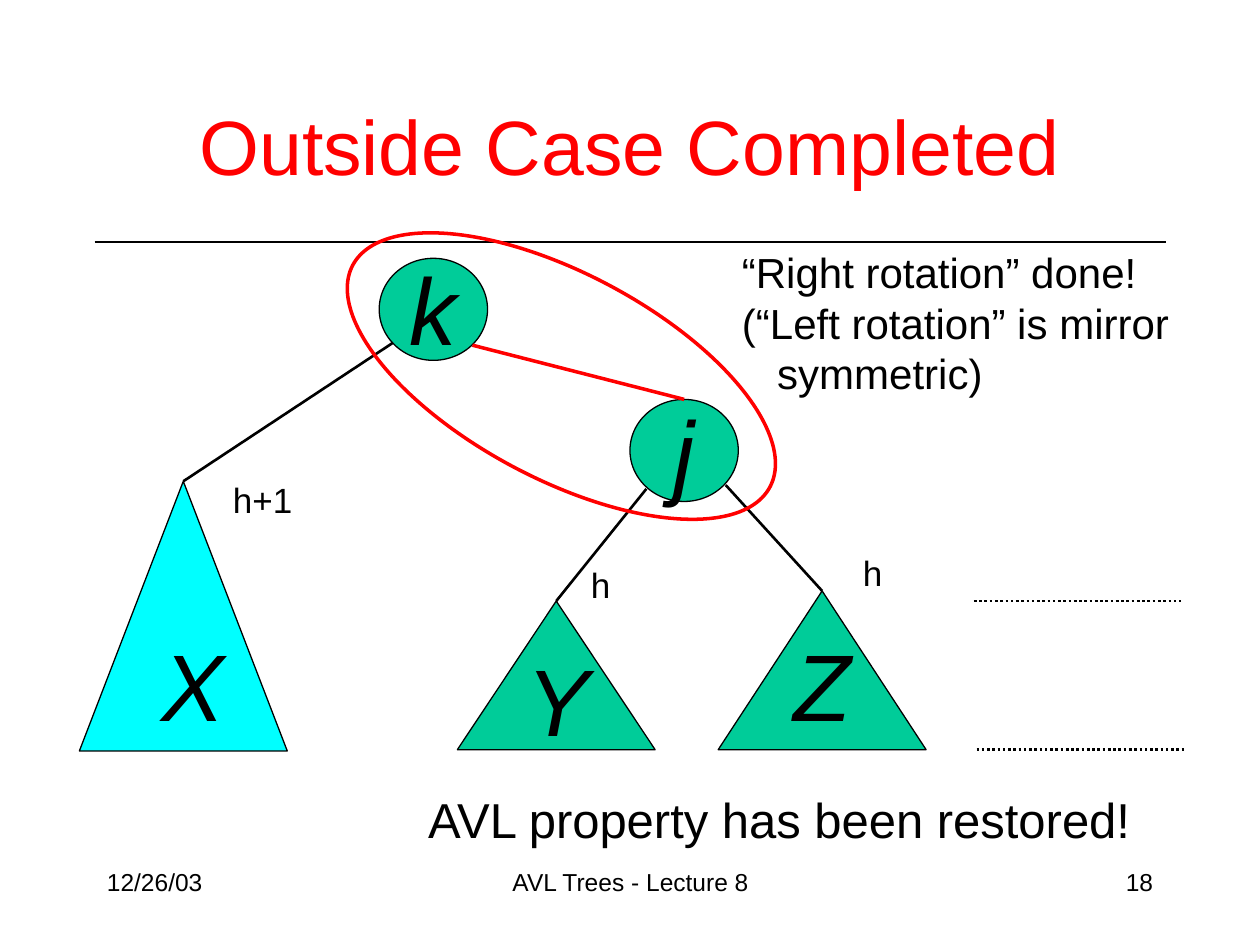
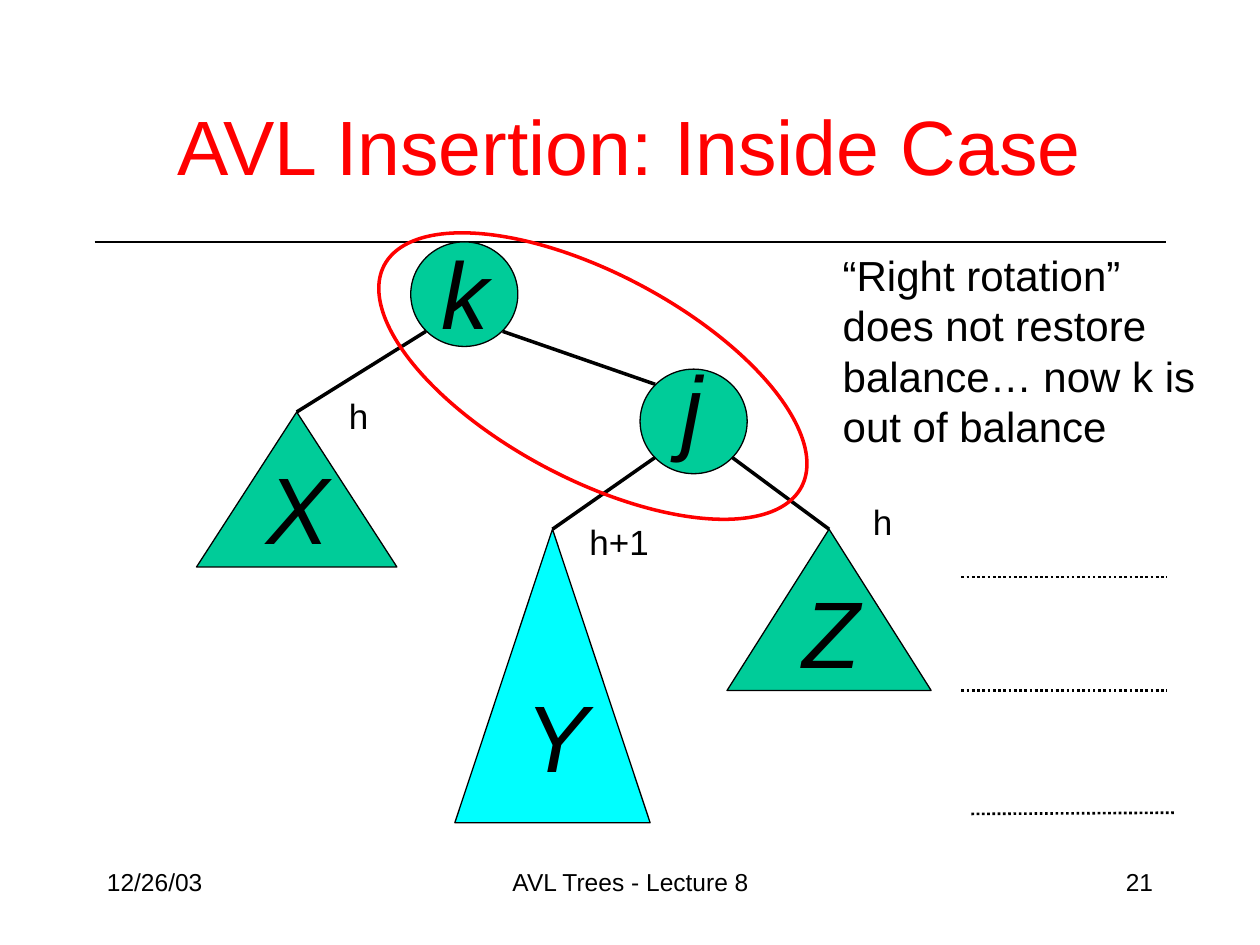
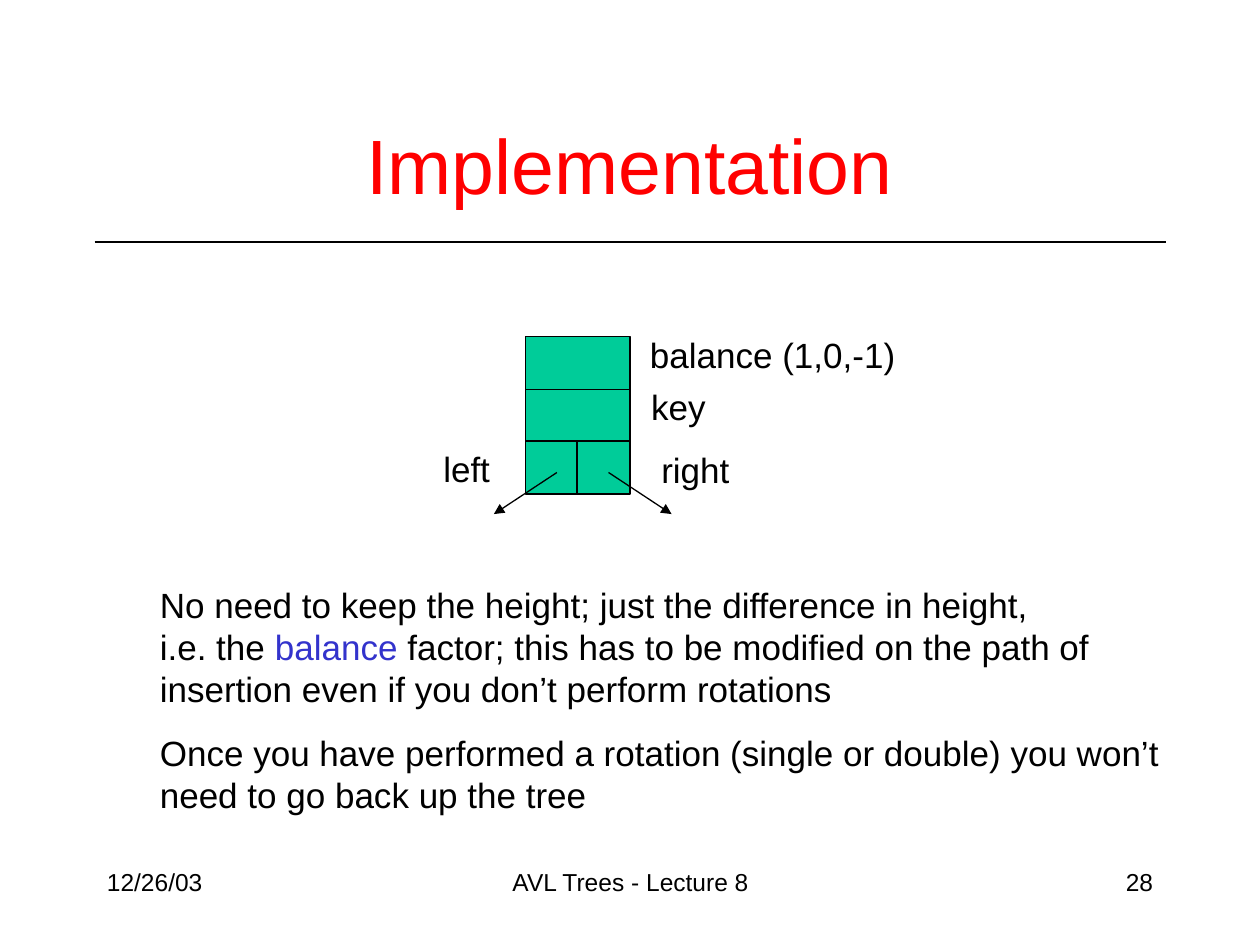
from lxml import etree
from pptx import Presentation
from pptx.dml.color import RGBColor
from pptx.enum.dml import MSO_LINE
from pptx.enum.shapes import MSO_CONNECTOR, MSO_SHAPE
from pptx.enum.text import MSO_ANCHOR, MSO_AUTO_SIZE, PP_ALIGN
from pptx.oxml.ns import qn
from pptx.util import Inches, Pt

FONT = "Arial"
BLACK, RED, BLUE = "000000", "FF0000", "3333CC"
GREEN, CYAN = "00CC99", "00FFFF"

DATE, COURSE = "12/26/03", "AVL Trees - Lecture 8"
TITLE_BOX = (0.73, 0.71, 8.54, 0.88)
LETTER_SIZE = 54
LETTER_BOX = (0.53, 1)
ROTATION_SIZE = (3.75, 1.63)

# Nodes: letter, box, letter position (None centres the letter in the node).
# Subtrees: letter, box, fill, letter position, edge start, height, height box.
TREES = [
    {
        "title": "Outside Case Completed",
        "number": 18,
        "nodes": [
            ("j", (5, 3.17, 0.86, 0.81), None),
            ("k", (3.01, 2.05, 0.86, 0.81), (3.15, 1.94)),
        ],
        "subtrees": [
            ("X", (0.63, 3.82, 1.65, 2.14), CYAN, (1.18, 4.93), (3.12, 2.72),
             "h+1", (1.75, 3.75, 0.67, 0.44)),
            ("Y", (3.63, 4.77, 1.57, 1.18), GREEN, (4.08, 5.05), (5.13, 3.88),
             "h", (4.59, 4.42, 0.35, 0.44)),
            ("Z", (5.7, 4.69, 1.65, 1.26), GREEN, (6.2, 4.93), (5.76, 3.85),
             "h", (6.75, 4.33, 0.35, 0.44)),
        ],
        "edge_width": 1.5,
        "node_edge": ((3.75, 2.74), (5.43, 3.17), RED, 2),
        "levels": [((7.73, 4.77), (9.37, 4.77)), ((7.75, 5.95), (9.4, 5.95))],
        "rotation": (2.58, 2.17),
        "remarks": [
            ((5.79, 1.91, 3.59, 1.3), 24,
             ["“Right rotation” done!", "(“Left rotation” is mirror", "symmetric)"],
             {2: 0.28}),
            ((3.3, 6.22, 5.81, 0.57), 28, ["AVL property has been restored!"], {}),
        ],
    },
    {
        "title": "AVL Insertion: Inside Case",
        "number": 21,
        "nodes": [
            ("j", (5.08, 2.93, 0.85, 0.83), (5.31, 2.72)),
            ("k", (3.26, 1.92, 0.85, 0.83), (3.41, 1.82)),
        ],
        "subtrees": [
            ("X", (1.56, 3.27, 1.59, 1.23), GREEN, (2.02, 3.52), (3.38, 2.63),
             "h", (2.67, 3.08, 0.35, 0.44)),
            ("Y", (3.61, 4.2, 1.55, 2.33), CYAN, (4.07, 5.33), (5.2, 3.63),
             "h+1", (4.58, 4.08, 0.67, 0.44)),
            ("Z", (5.77, 4.2, 1.62, 1.28), GREEN, (6.27, 4.51), (5.81, 3.63),
             "h", (6.83, 3.92, 0.36, 0.44)),
        ],
        "edge_width": 2,
        "node_edge": ((3.99, 2.63), (5.2, 3.05), BLACK, 2),
        "levels": [((7.63, 4.58), (9.26, 4.58)), ((7.63, 5.48), (9.26, 5.48)),
                   ((7.71, 6.46), (9.33, 6.45))],
        "rotation": (2.83, 2.17),
        "remarks": [
            ((6.59, 1.93, 3, 1.7), 24,
             ["“Right rotation”", "does not restore", "balance… now k is",
              "out of balance"], {}),
        ],
    },
]

RECORD_CELLS = [(4.17, 3.5, 0.42, 0.42), (4.58, 3.5, 0.42, 0.42),
                (4.17, 3.08, 0.83, 0.42), (4.17, 2.67, 0.83, 0.42)]
POINTERS = [((4.42, 3.75), (3.92, 4.08)), ((4.83, 3.75), (5.33, 4.08))]
FIELD_LABELS = [("balance (1,0,-1)", (5.06, 2.6, 2.15, 0.44)),
                ("key", (5.07, 3.01, 0.63, 0.44)),
                ("right", (5.15, 3.51, 0.74, 0.44)),
                ("left", (3.42, 3.5, 0.57, 0.44))]
NOTES_BOX = (1.17, 4.58, 8.25, 1.94)
NOTES = [
    [("No need to keep the height; just the difference in height,\n", BLACK),
     ("i.e. the ", BLACK),
     ("balance", BLUE),
     (" factor; this has to be modified on the path of insertion even if you "
      "don’t perform rotations", BLACK)],
    [("Once you have performed a rotation (single or double) you won’t need to "
      "go back up the tree", BLACK)],
]


def rgb(color):
    return RGBColor.from_string(color)


def inches(values):
    return [Inches(value) for value in values]


def style(paragraph, size, color=BLACK, align=PP_ALIGN.LEFT, italic=False):
    paragraph.alignment = align
    font = paragraph.font
    font.name, font.size, font.italic = FONT, Pt(size), italic
    font.color.rgb = rgb(color)


def add_text(slide, box, lines, size, wrap=False, anchor=MSO_ANCHOR.TOP,
             indents=None, **look):
    frame = slide.shapes.add_textbox(*inches(box)).text_frame
    frame.word_wrap = wrap
    frame.vertical_anchor = anchor
    if not wrap:
        frame.auto_size = MSO_AUTO_SIZE.SHAPE_TO_FIT_TEXT
    frame.text = "\n".join(lines)
    for index, paragraph in enumerate(frame.paragraphs):
        style(paragraph, size, **look)
        if indents and index in indents:
            properties = paragraph._p.get_or_add_pPr()
            properties.set("marL", str(Inches(indents[index])))
            properties.set("indent", "0")


def add_letter(slide, position, letter):
    add_text(slide, (*position, *LETTER_BOX), [letter], LETTER_SIZE, wrap=True,
             italic=True)


def add_outline(slide, kind, box, fill=None, line=BLACK, width=0.75):
    shape = slide.shapes.add_shape(kind, *inches(box))
    shape.shadow.inherit = False
    if fill:
        shape.fill.solid()
        shape.fill.fore_color.rgb = rgb(fill)
    else:
        shape.fill.background()
    shape.line.color.rgb = rgb(line)
    shape.line.width = Pt(width)
    return shape


def add_line(slide, start, end, color=BLACK, width=0.75, dotted=False, arrow=False):
    connector = slide.shapes.add_connector(
        MSO_CONNECTOR.STRAIGHT, *inches((*start, *end)))
    connector.line.color.rgb = rgb(color)
    connector.line.width = Pt(width)
    if dotted:
        connector.line.dash_style = MSO_LINE.ROUND_DOT
    properties = connector._element.spPr
    if arrow:
        etree.SubElement(properties.find(qn("a:ln")), qn("a:tailEnd"), type="triangle")
    etree.SubElement(properties, qn("a:effectLst"))


def add_slide(presentation, title, number, title_box=TITLE_BOX):
    """Add a slide with the shared rule, footers and title."""
    slide = presentation.slides.add_slide(presentation.slide_layouts[6])
    add_line(slide, (0.75, 1.92), (9.25, 1.92))
    footers = [(DATE, 0.75, 2.08, PP_ALIGN.LEFT),
               (COURSE, 3.42, 3.17, PP_ALIGN.CENTER),
               (str(number), 7.17, 2.08, PP_ALIGN.RIGHT)]
    for text, left, width, align in footers:
        add_text(slide, (left, 6.83, width, 0.5), [text], 14, wrap=True, align=align)
    add_text(slide, title_box, [title], 44, wrap=True, anchor=MSO_ANCHOR.MIDDLE,
             color=RED, align=PP_ALIGN.CENTER)
    return slide


def add_node(slide, letter, box, letter_position):
    node = add_outline(slide, MSO_SHAPE.OVAL, box, GREEN)
    if letter_position:
        add_letter(slide, letter_position, letter)
        return
    frame = node.text_frame
    frame.word_wrap = False
    frame.vertical_anchor = MSO_ANCHOR.MIDDLE
    frame.text = letter
    style(frame.paragraphs[0], LETTER_SIZE, align=PP_ALIGN.CENTER, italic=True)


def build_tree(presentation, tree):
    slide = add_slide(presentation, tree["title"], tree["number"])
    for node in tree["nodes"]:
        add_node(slide, *node)
    for letter, box, fill, position, start, height, height_box in tree["subtrees"]:
        add_outline(slide, MSO_SHAPE.ISOSCELES_TRIANGLE, box, fill)
        add_letter(slide, position, letter)
        left, top, width, _ = box
        add_line(slide, start, (left + width / 2, top), width=tree["edge_width"])
        add_text(slide, height_box, [height], 20)
    add_line(slide, *tree["node_edge"])
    for start, end in tree["levels"]:
        add_line(slide, start, end, width=1.5, dotted=True)
    for box, size, lines, indents in tree["remarks"]:
        add_text(slide, box, lines, size, indents=indents)
    rotation = add_outline(slide, MSO_SHAPE.OVAL, (*tree["rotation"], *ROTATION_SIZE),
                           line=RED, width=2)
    rotation.rotation = 28


def add_notes(slide):
    frame = slide.shapes.add_textbox(*inches(NOTES_BOX)).text_frame
    frame.word_wrap = True
    for index, pieces in enumerate(NOTES):
        paragraph = frame.add_paragraph() if index else frame.paragraphs[0]
        style(paragraph, 20)
        paragraph.space_before = Pt(12.5)
        for text, color in pieces:
            run = paragraph.add_run()
            run.text = text.rstrip("\n")
            run.font.color.rgb = rgb(color)
            if text.endswith("\n"):
                paragraph.add_line_break()


def build_implementation(presentation):
    slide = add_slide(presentation, "Implementation", 28, (0.75, 0.67, 8.5, 1.25))
    for cell in RECORD_CELLS:
        add_outline(slide, MSO_SHAPE.RECTANGLE, cell, GREEN)
    for start, end in POINTERS:
        add_line(slide, start, end, arrow=True)
    for text, box in FIELD_LABELS:
        add_text(slide, box, [text], 20)
    add_notes(slide)


def main():
    presentation = Presentation()
    presentation.slide_width, presentation.slide_height = Inches(10), Inches(7.5)
    for tree in TREES:
        build_tree(presentation, tree)
    build_implementation(presentation)
    presentation.save("out.pptx")


if __name__ == "__main__":
    main()
